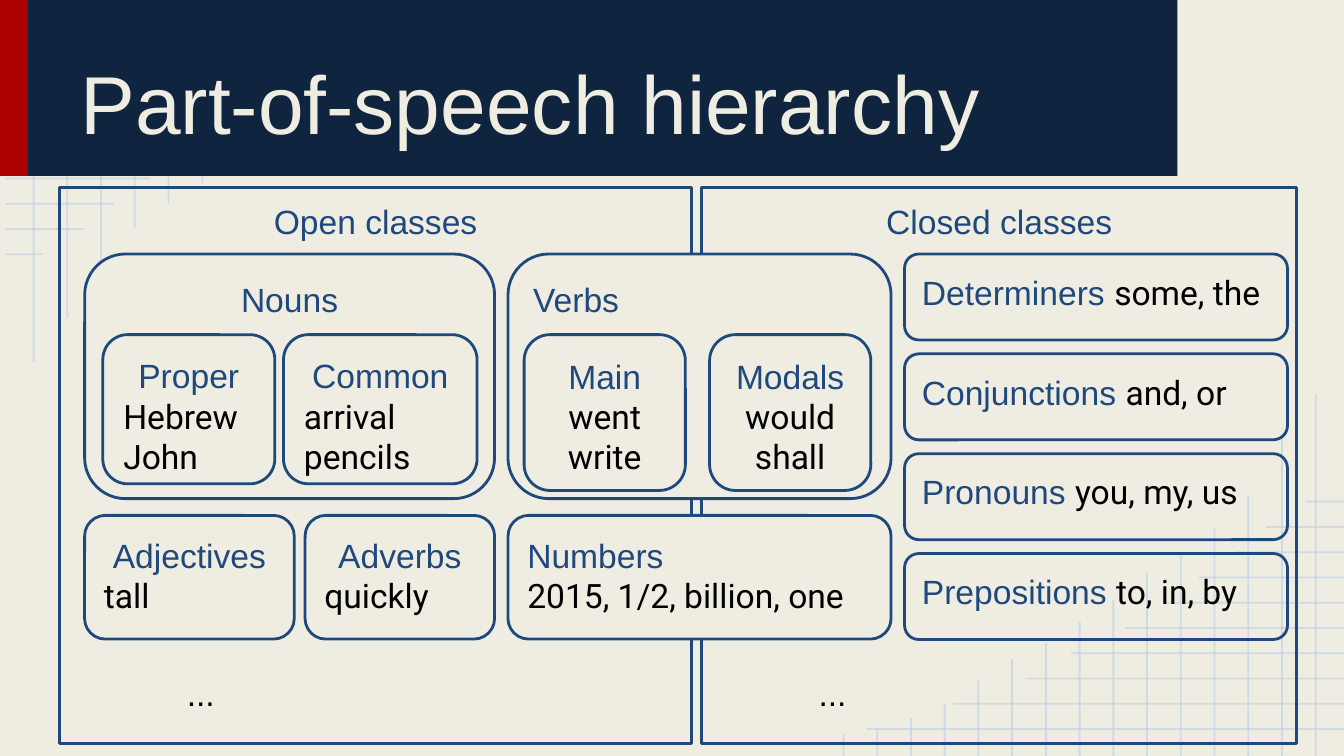
from lxml import etree
from pptx import Presentation
from pptx.dml.color import RGBColor
from pptx.enum.shapes import MSO_CONNECTOR as Connector, MSO_SHAPE as Shape
from pptx.enum.text import MSO_ANCHOR as Anchor, PP_ALIGN as Align
from pptx.oxml.ns import qn
from pptx.util import Inches, Pt

COLUMNS = 100
ROWS = COLUMNS * 9 / 16
BANNER_ROWS = 13.1
COLORS = {
    "paper": "EFEDE2",
    "navy": "0F243E",
    "red": "AB0101",
    "blue": "1F497D",
    "grid": "B7CCE4",
    "black": "000000",
}
ROW_REACHES = [35.5, 29.1, 23.7, 20.3, 16.3, 13.3, 10.8, 8.1, 5.8, 2.8]
COLUMN_REACHES = [26.9, 23.7, 19.4, 17, 15.1, 13.6, 11.6, 10, 8.4, 7.2, 5.6, 3.9, 2.8, 2, 1.6]
CLOSED_CLASSES = [
    ("Determiners", "some, the"),
    ("Conjunctions", "and, or"),
    ("Pronouns", "you, my, us"),
    ("Prepositions", "to, in, by"),
]


class SlideBuilder:
    heading_font = "Arial"
    example_font = "Roboto"
    text_size = 18
    margin = 0.1

    def __init__(self, presentation):
        self.cell = presentation.slide_width / COLUMNS
        self.slide = presentation.slides.add_slide(presentation.slide_layouts[6])
        fill = self.slide.background.fill
        fill.solid()
        fill.fore_color.rgb = self.color("paper")

    def color(self, name):
        return RGBColor.from_string(COLORS[name])

    def scale(self, *cells):
        return [round(value * self.cell) for value in cells]

    def format_run(self, run, font, color, size=text_size):
        run.font.name = font
        run.font.size = Pt(size)
        run.font.color.rgb = self.color(color)

    def prepare(self, frame, anchor=Anchor.TOP):
        frame.word_wrap = True
        frame.vertical_anchor = anchor
        frame.margin_left = frame.margin_right = Inches(self.margin)
        frame.margin_top = frame.margin_bottom = Inches(self.margin)

    def grid_line(self, start, end):
        connector = self.slide.shapes.add_connector(
            Connector.STRAIGHT, *self.scale(*start, *end))
        connector.line.width = Pt(1)
        connector.line.color.rgb = self.color("grid")
        properties = connector._element.spPr
        color = next(properties.iter(qn("a:srgbClr")))
        etree.SubElement(color, qn("a:alpha"), val="54000")
        etree.SubElement(properties, qn("a:effectLst"))

    def corner_grid(self, mirrored):
        lines = [((0.4, 2 + 1.88 * i), (0.4 + reach, 2 + 1.88 * i))
                 for i, reach in enumerate(ROW_REACHES)]
        lines += [((2.5 + 2.51 * i, reach), (2.5 + 2.51 * i, 0))
                  for i, reach in enumerate(COLUMN_REACHES)]
        for line in lines:
            if mirrored:
                self.grid_line(*[(COLUMNS + 0.4 - x, ROWS - y) for x, y in line])
            elif max(y for _, y in line) > BANNER_ROWS:
                self.grid_line(*line)

    def shape(self, area, kind=Shape.RECTANGLE, fill=None, outline=None):
        shape = self.slide.shapes.add_shape(kind, *self.scale(*area))
        shape.shadow.inherit = False
        if fill:
            shape.fill.solid()
            shape.fill.fore_color.rgb = self.color(fill)
        else:
            shape.fill.background()
        if outline:
            shape.line.color.rgb = self.color(outline)
            shape.line.width = Pt(1.5)
        else:
            shape.line.fill.background()
        return shape

    def title(self, area, words):
        frame = self.slide.shapes.add_textbox(*self.scale(*area)).text_frame
        self.prepare(frame, Anchor.BOTTOM)
        frame.text = words
        self.format_run(frame.paragraphs[0].runs[0], self.heading_font, "paper", 44)

    def word_class(self, area, heading, examples=(), inline="", align=Align.CENTER,
                   example_align=Align.LEFT, kind=Shape.ROUNDED_RECTANGLE, fill=None,
                   outline="blue", color="blue"):
        frame = self.shape(area, kind, fill, outline).text_frame
        self.prepare(frame)
        paragraph = frame.paragraphs[0]
        paragraph.text = heading + " " if inline else heading
        paragraph.alignment = align
        self.format_run(paragraph.runs[0], self.heading_font, color)
        if inline:
            run = paragraph.add_run()
            run.text = inline
            self.format_run(run, self.example_font, "black")
        for example in examples:
            paragraph = frame.add_paragraph()
            paragraph.text = example
            paragraph.alignment = example_align
            self.format_run(paragraph.runs[0], self.example_font, "black")


def main():
    presentation = Presentation()
    presentation.slide_width = Inches(COLUMNS / 10)
    presentation.slide_height = Inches(ROWS / 10)
    builder = SlideBuilder(presentation)

    for mirrored in (False, True):
        builder.corner_grid(mirrored)
    builder.shape((0, 0, 2.1, BANNER_ROWS), fill="red")
    builder.shape((2.1, 0, 85.5, BANNER_ROWS), fill="navy")
    builder.title((5, 1.1, 80, 11.1), "Part-of-speech hierarchy")

    builder.word_class((4.45, 13.95, 47, 41.4), "Open classes", kind=Shape.RECTANGLE)
    builder.word_class((52.2, 13.95, 44.3, 41.4), "Closed classes", kind=Shape.RECTANGLE)

    builder.word_class((6.3, 18.9, 30.5, 18.2), "Nouns")
    builder.word_class((7.65, 24.9, 12.8, 11.1), "Proper", ["Hebrew", "John"])
    builder.word_class((21.1, 24.9, 14.4, 11.1), "Common", ["arrival", "pencils"])
    builder.word_class((6.3, 38.35, 15.6, 9.2), "Adjectives", ["tall"])
    builder.word_class((22.7, 38.35, 14.1, 9.2), "Adverbs", ["quickly"])

    builder.word_class((37.8, 18.9, 28.5, 18.2), "Verbs", align=Align.LEFT, fill="paper")
    builder.word_class((39, 24.9, 12, 11.6), "Main", ["went", "write"],
                       example_align=Align.CENTER)
    builder.word_class((52.8, 24.9, 12, 11.6), "Modals", ["would", "shall"],
                       example_align=Align.CENTER)
    builder.word_class((37.8, 38.35, 28.5, 9.2), "Numbers", ["2015, 1/2, billion, one"],
                       align=Align.LEFT, fill="paper")

    for i, (heading, examples) in enumerate(CLOSED_CLASSES):
        builder.word_class((67.3, 18.9 + 7.43 * i, 28.5, 6.4), heading,
                           inline=examples, align=Align.LEFT)
    for column in (6.3, 53.3):
        builder.word_class((column, 48.8, 17.3, 5.4), "...", outline=None, color="black")

    presentation.save("out.pptx")


if __name__ == "__main__":
    main()
